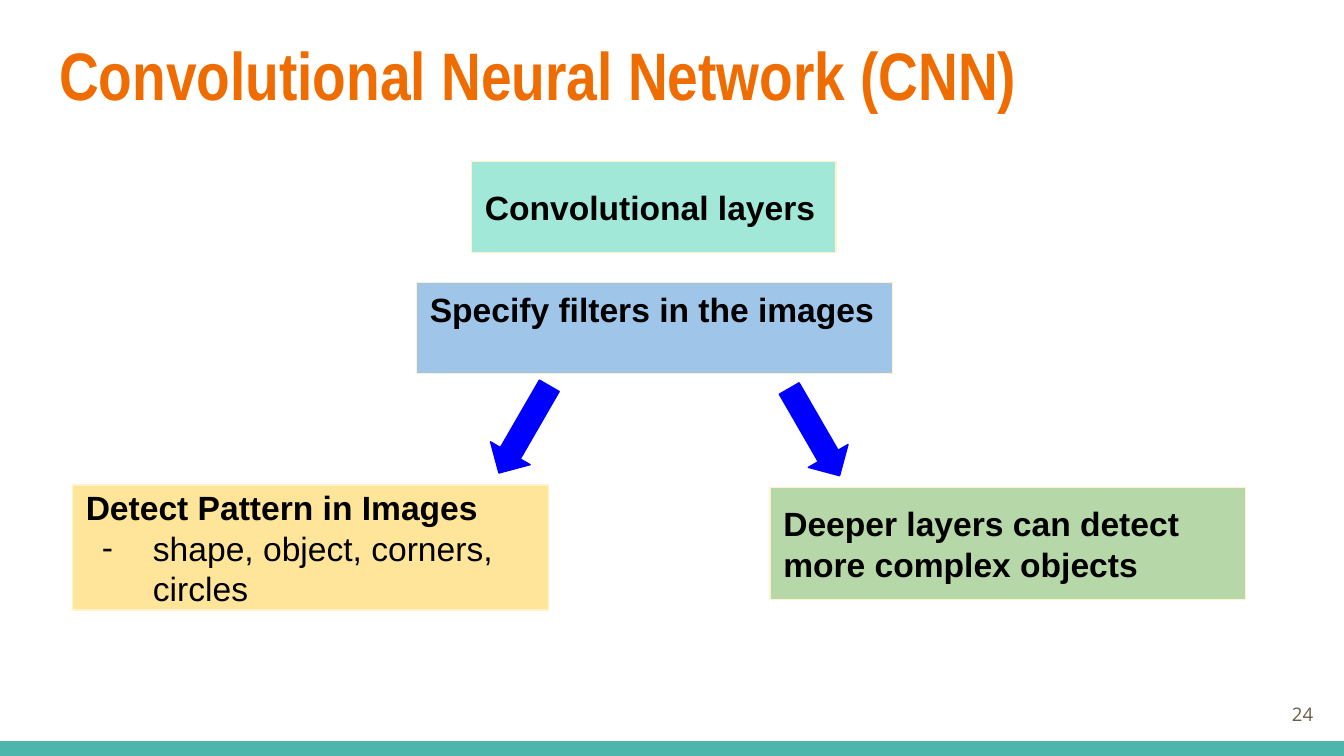
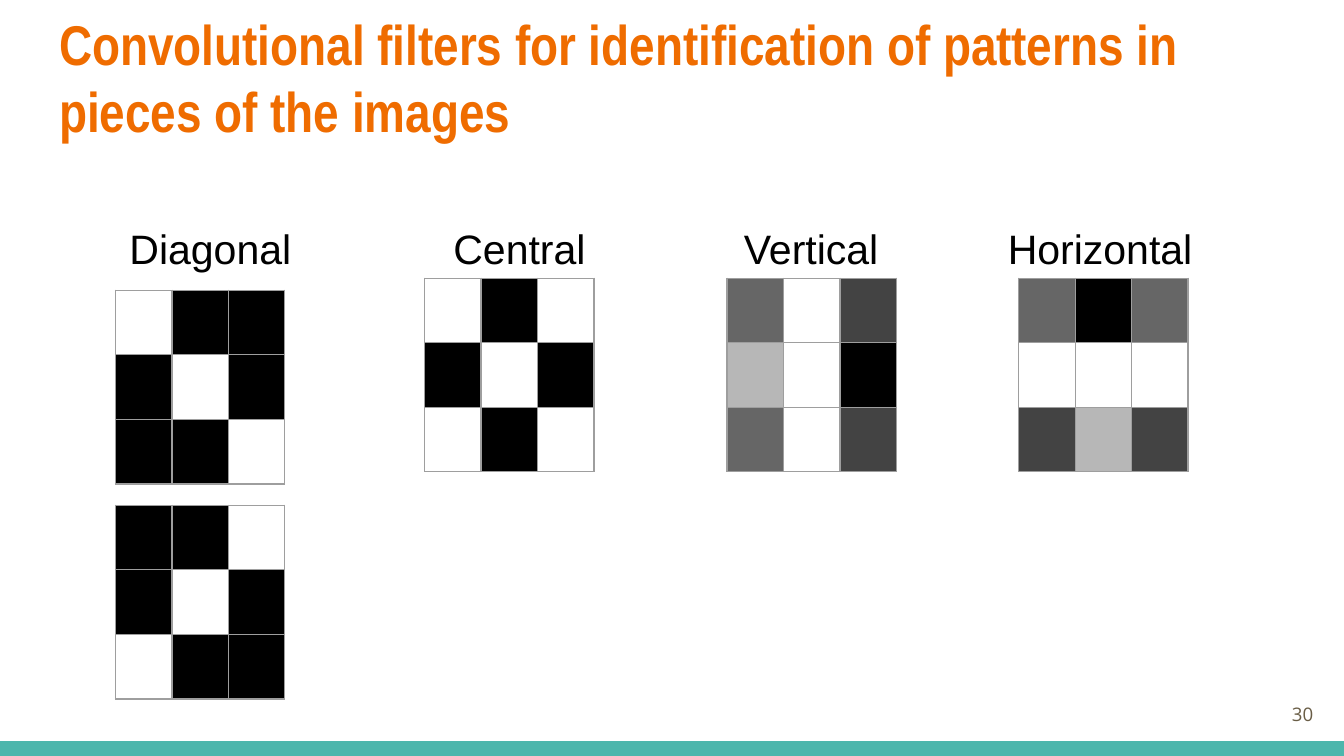
from dataclasses import dataclass
from typing import Any, NamedTuple

from lxml import etree
from pptx import Presentation
from pptx import util as u
from pptx.dml.color import RGBColor
from pptx.enum import shapes, text
from pptx.oxml import ns

COLUMNS, ROWS = 100, 56.25
UNIT = u.Inches(0.1)


@dataclass(frozen=True)
class Theme:
    ink: str = "000000"
    title: str = "EF6C00"
    band: str = "4DB6AC"
    number: str = "695D46"
    box_line: str = "FFF2CC"
    arrow: str = "0000FF"
    cell_line: str = "9E9E9E"
    body_font: str = "Arial"
    title_font: str = "Arial Narrow"
    number_font: str = "Open Sans"
    title_size: int = 36
    long_title_size: int = 30
    label_size: int = 22
    body_size: int = 18
    number_size: int = 10
    line_width: float = 0.75
    inset: float = 1


THEME = Theme()
TONES = {"#": "000000", "d": "434343", "g": "666666", "l": "B7B7B7"}


class Area(NamedTuple):
    """A rectangle in grid columns and rows."""
    left: float
    top: float
    width: float
    height: float


class Line(NamedTuple):
    words: str
    bold: bool = True
    bullet: str = ""


class Box(NamedTuple):
    area: Area
    fill: str
    lines: list[Line]
    anchor: Any = text.MSO_ANCHOR.MIDDLE
    inset_top: float = THEME.inset


class Arrow(NamedTuple):
    area: Area
    rotation: float


class Filter(NamedTuple):
    left: float
    top: float
    pattern: tuple[str, str, str]


class Label(NamedTuple):
    left: float
    words: str


BOXES = [
    Box(Area(35.1, 12, 27.1, 6.8), "A1E8D9", [Line("Convolutional layers")]),
    Box(Area(5.4, 36.1, 35.4, 9.3), "FFE599",
        [Line("Detect Pattern in Images"),
         Line("shape, object, corners, circles", False, "-")]),
    Box(Area(31, 21, 35.4, 6.8), "9FC5E8", [Line("Specify filters in the images")],
        text.MSO_ANCHOR.TOP, 0.5),
    Box(Area(57.3, 36.3, 35.4, 8.3), "B6D7A8",
        [Line("Deeper layers can detect more complex objects")]),
]
ARROWS = [Arrow(Area(37.3, 28.2, 3.4, 7.5), 30), Arrow(Area(58.9, 28.4, 3.4, 7.5), 330)]

FILTER_TOP = 20.7
FILTERS = [
    Filter(31.6, FILTER_TOP, (".#.", "#.#", ".#.")),
    Filter(8.6, 37.6, ("##.", "#.#", ".##")),
    Filter(8.6, 21.6, (".##", "#.#", "##.")),
    Filter(54.1, FILTER_TOP, ("g.d", "l.#", "g.d")),
    Filter(75.8, FILTER_TOP, ("g#g", "...", "dld")),
]
LABELS = [Label(7.2, "Diagonal"), Label(30.2, "Central"),
          Label(51.9, "Vertical"), Label(73.4, "Horizontal")]
CELL_WIDTH, CELL_HEIGHT = 4.2, 3.2


def grid(cells: float) -> int:
    return round(cells * UNIT)


def place(area: Area) -> list[int]:
    return [grid(value) for value in area]


def apply(target: Any, values: dict[str, Any]) -> None:
    for name, value in values.items():
        setattr(target, name, value)


def add_xml(parent: Any, tag: str, **attributes: str) -> Any:
    return etree.SubElement(parent, ns.qn(tag), attributes)


def add_colour(parent: Any, colour: str) -> None:
    add_xml(parent, "a:srgbClr", val=colour)


def set_margins(target: Any, top: float = THEME.inset) -> None:
    apply(target, {f"margin_{side}": grid(THEME.inset) for side in ("left", "right", "bottom")})
    target.margin_top = grid(top)


def format_frame(frame: Any, anchor: Any = text.MSO_ANCHOR.TOP,
                 inset_top: float = THEME.inset) -> None:
    apply(frame, {"word_wrap": True, "auto_size": text.MSO_AUTO_SIZE.NONE,
                  "vertical_anchor": anchor})
    set_margins(frame, inset_top)


def write(paragraph: Any, words: str, size: int, colour: str = THEME.ink,
          font: str = THEME.body_font, bold: bool = False,
          align: Any = text.PP_ALIGN.LEFT) -> None:
    paragraph.alignment = align
    run = paragraph.add_run()
    run.text = words
    apply(run.font, {"name": font, "size": u.Pt(size), "bold": bold})
    run.font.color.rgb = RGBColor.from_string(colour)


def add_bullet(paragraph: Any, mark: str) -> None:
    properties = paragraph._p.get_or_add_pPr()
    properties.set("marL", str(u.Inches(0.5)))
    properties.set("indent", str(u.Inches(-0.38)))
    add_colour(add_xml(properties, "a:buClr"), THEME.ink)
    add_xml(properties, "a:buFont", typeface=THEME.body_font)
    add_xml(properties, "a:buChar", char=mark)


def add_shape(slide: Any, kind: Any, area: Area, fill: str, line: str = "") -> Any:
    shape = slide.shapes.add_shape(kind, *place(area))
    shape.shadow.inherit = False
    shape.fill.solid()
    shape.fill.fore_color.rgb = RGBColor.from_string(fill)
    if line:
        shape.line.color.rgb = RGBColor.from_string(line)
        shape.line.width = u.Pt(THEME.line_width)
    else:
        shape.line.fill.background()
    return shape


def add_slide(presentation: Any, title: str, area: Area, size: int, number: str) -> Any:
    """Add a slide with its bottom band, title and slide number."""
    slide = presentation.slides.add_slide(presentation.slide_layouts.get_by_name("Title Only"))
    add_shape(slide, shapes.MSO_SHAPE.RECTANGLE, Area(0, ROWS - 1.1, COLUMNS, 1.1), THEME.band)

    heading = slide.shapes.title
    apply(heading, dict(zip(("left", "top", "width", "height"), place(area))))
    format_frame(heading.text_frame)
    write(heading.text_frame.paragraphs[0], title, size, THEME.title, THEME.title_font, True)

    frame = slide.shapes.add_textbox(*place(Area(92.7, 51, 6, 4.3))).text_frame
    format_frame(frame, text.MSO_ANCHOR.MIDDLE)
    write(frame.paragraphs[0], number, THEME.number_size, THEME.number,
          THEME.number_font, align=text.PP_ALIGN.RIGHT)
    return slide


def draw_box(slide: Any, box: Box) -> None:
    shape = add_shape(slide, shapes.MSO_SHAPE.RECTANGLE, box.area, box.fill, THEME.box_line)
    frame = shape.text_frame
    format_frame(frame, box.anchor, box.inset_top)
    for index, line in enumerate(box.lines):
        paragraph = frame.add_paragraph() if index else frame.paragraphs[0]
        write(paragraph, line.words, THEME.body_size, bold=line.bold)
        if line.bullet:
            add_bullet(paragraph, line.bullet)


def draw_arrow(slide: Any, arrow: Arrow) -> None:
    shape = add_shape(slide, shapes.MSO_SHAPE.DOWN_ARROW, arrow.area, THEME.arrow, THEME.arrow)
    shape.rotation = arrow.rotation


def draw_label(slide: Any, label: Label) -> None:
    frame = slide.shapes.add_textbox(*place(Area(label.left, 15.6, 16.9, 5.9))).text_frame
    format_frame(frame)
    write(frame.paragraphs[0], label.words, THEME.label_size, align=text.PP_ALIGN.CENTER)


def format_cell(cell: Any, tone: str) -> None:
    set_margins(cell)
    properties = cell._tc.get_or_add_tcPr()
    for side in ("L", "R", "T", "B"):
        border = add_xml(properties, f"a:ln{side}", w=str(u.Pt(THEME.line_width)))
        add_colour(add_xml(border, "a:solidFill"), THEME.cell_line)
    if tone in TONES:
        cell.fill.solid()
        cell.fill.fore_color.rgb = RGBColor.from_string(TONES[tone])
    else:
        cell.fill.background()
    # The size of the empty line sets the lowest height of a row.
    ending = add_xml(cell.text_frame.paragraphs[0]._p, "a:endParaRPr",
                     sz=str(THEME.body_size * 100))
    add_xml(ending, "a:latin", typeface=THEME.body_font)


def draw_filter(slide: Any, item: Filter) -> None:
    count = len(item.pattern)
    area = Area(item.left, item.top, count * CELL_WIDTH, count * CELL_HEIGHT)
    table = slide.shapes.add_table(count, count, *place(area)).table
    apply(table, {"first_row": False, "horz_banding": False})
    for row, tones in enumerate(item.pattern):
        for column, tone in enumerate(tones):
            format_cell(table.cell(row, column), tone)


def main() -> None:
    presentation = Presentation()
    apply(presentation, {"slide_width": grid(COLUMNS), "slide_height": grid(ROWS)})

    network = add_slide(presentation, "Convolutional Neural Network (CNN)",
                        Area(3.4, 1.5, 93.2, 7.7), THEME.title_size, "24")
    for box in BOXES:
        draw_box(network, box)
    for arrow in ARROWS:
        draw_arrow(network, arrow)

    patterns = add_slide(
        presentation,
        "Convolutional filters for identification of patterns in pieces of the images",
        Area(3.4, -0.3, 93.2, 10.5), THEME.long_title_size, "30")
    for item in FILTERS:
        draw_filter(patterns, item)
    for label in LABELS:
        draw_label(patterns, label)

    presentation.save("out.pptx")


if __name__ == "__main__":
    main()
